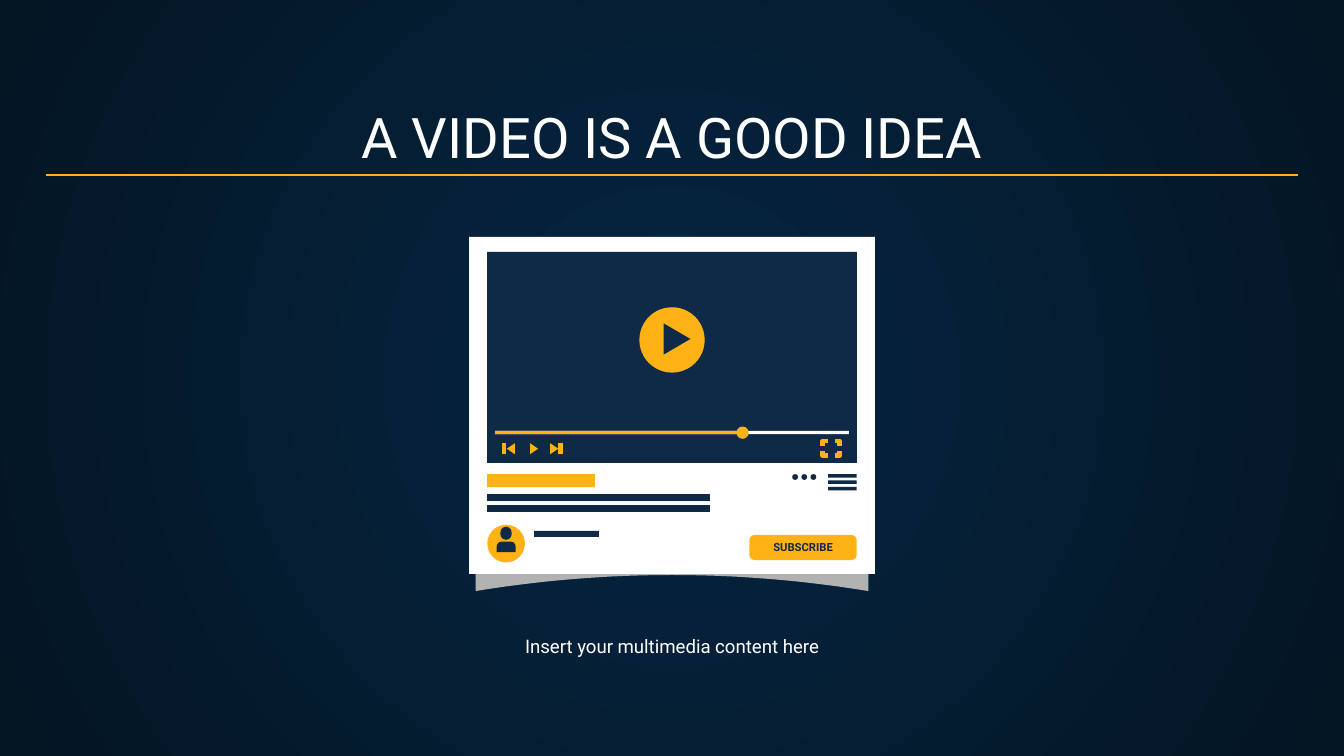
from lxml.etree import SubElement
from pptx import Presentation
from pptx.dml.color import RGBColor
from pptx.enum.shapes import MSO_CONNECTOR as Link, MSO_SHAPE as Kind
from pptx.enum.text import MSO_ANCHOR as Anchor, PP_ALIGN as Align
from pptx.oxml.ns import qn
from pptx.util import Pt

GOLD, NAVY, WHITE, GREY = "FFB215", "0E2A47", "FFFFFF", "B3B2B2"


def tint(code):
    return RGBColor.from_string(code)


class Pen:
    """Holds the font and the current slide, and draws each kind of element."""

    def __init__(self, slide, font):
        self.slide, self.font = slide, font
        self.home = slide.shapes

    def group(self):
        self.home = self.slide.shapes.add_group_shape().shapes

    def leave(self):
        self.home = self.slide.shapes

    def glow(self, inner, outer):
        fill = self.slide.background.fill
        fill.gradient()
        for stop, code in zip(fill.gradient_stops, (inner, outer)):
            stop.color.rgb = tint(code)
        grad = self.slide.element.find(".//" + qn("a:gradFill"))
        grad.remove(grad.find(qn("a:lin")))
        ring = SubElement(grad, qn("a:path"))
        ring.set("path", "circle")
        focus = SubElement(ring, qn("a:fillToRect"))
        for side in "ltrb":
            focus.set(side, "50000")

    def label(self, frame, text, size, code, anchor, inset, bold=False):
        frame.word_wrap = True
        frame.vertical_anchor = anchor
        frame.margin_left = frame.margin_right = Pt(inset)
        frame.margin_top = frame.margin_bottom = Pt(inset)
        para = frame.paragraphs[0]
        para.alignment = Align.CENTER
        run = para.add_run()
        run.text = text
        run.font.name, run.font.size, run.font.bold = self.font, Pt(size), bold
        run.font.color.rgb = tint(code)

    def text(self, box, text, size, anchor):
        frame = self.home.add_textbox(*map(Pt, box)).text_frame
        self.label(frame, text, size, WHITE, anchor, 7.2)

    def paint(self, shape, code):
        shape.shadow.inherit = False
        shape.fill.solid()
        shape.fill.fore_color.rgb = tint(code)
        shape.line.fill.background()

    def shape(self, box, code, kind=Kind.RECTANGLE, bend=None):
        shape = self.home.add_shape(kind, *map(Pt, box))
        self.paint(shape, code)
        if bend is not None:
            shape.adjustments[0] = bend
        return shape

    def disc(self, x, y, size, code):
        self.shape((x, y, size, size), code, Kind.OVAL)

    def trace(self, dots, close):
        first, *rest = [(Pt(x), Pt(y)) for x, y in dots]
        form = self.home.build_freeform(*first)
        form.add_line_segments(rest, close=close)
        return form.convert_to_shape()

    def poly(self, dots, code):
        self.paint(self.trace(dots, True), code)

    def arrow(self, x, y, wide, high, code):
        self.poly([(x, y), (x, y + high), (x + wide, y + high / 2)], code)

    def bend(self, dots, code, width):
        shape = self.trace(dots, False)
        shape.shadow.inherit = False
        shape.fill.background()
        shape.line.color.rgb, shape.line.width = tint(code), Pt(width)

    def line(self, x1, y1, x2, y2, code, width):
        line = self.home.add_connector(Link.STRAIGHT, *map(Pt, (x1, y1, x2, y2)))
        line.line.color.rgb, line.line.width = tint(code), Pt(width)
        SubElement(line.element.spPr, qn("a:effectLst"))


def arc(y):
    steps = [i / 20 for i in range(-20, 21)]
    return [(360 + 105.2 * t, y + 8.6 * t * t) for t in steps]


def player(pen):
    pen.poly(arc(152) + arc(308.1)[::-1], GREY)
    pen.shape((251.25, 127, 217.5, 180.5), WHITE)
    pen.shape((261, 135, 198, 113), NAVY)
    pen.shape((265.2, 230.9, 189.6, 1.75), WHITE)
    pen.shape((265.2, 230.9, 132.6, 1.75), GOLD)
    pen.disc(342.5, 164.6, 35, GOLD)
    pen.arrow(355.5, 173.2, 14.4, 16.8, NAVY)
    pen.disc(394.5, 228.5, 6.6, GOLD)
    for x, wide in ((284, 4.3), (294.8, 4.3), (275.8, -4.3)):
        pen.arrow(x, 237.5, wide, 5.8, GOLD)
    for x in (270, 300.4):
        pen.line(x, 237.5, x, 243.3, GOLD, 2.45)
    for x, dx in ((440.7, 2.7), (449.8, -2.7)):
        for y, dy in ((236.3, 2.7), (244.1, -2.7)):
            pen.bend([(x, y + dy), (x, y), (x + dx, y)], GOLD, 2.45)


def details(pen):
    pen.shape((261, 254, 57.7, 7), GOLD)
    for y in (264.7, 270.6):
        pen.shape((261, y, 119.4, 3.6), NAVY)
    pen.shape((286.1, 284.4, 34.8, 3.3), NAVY)
    for i in range(3):
        pen.shape((443.6, 254 + 3.4 * i, 15.4, 1.9), NAVY)
        pen.disc(424.4 + 4.9 * i, 254, 3.1, NAVY)
    pen.disc(261, 281.1, 20.2, GOLD)
    pen.shape((268.1, 282.2, 6, 7), NAVY, Kind.ROUNDED_RECTANGLE, 0.5)
    pen.shape((266.1, 290.2, 10.2, 5.6), NAVY, Kind.ROUND_2_SAME_RECTANGLE, 0.45)
    button = pen.shape((401.5, 286.6, 57.5, 13.4), GOLD, Kind.ROUNDED_RECTANGLE, 0.2)
    pen.label(button.text_frame, "SUBSCRIBE", 6, NAVY, Anchor.MIDDLE, 0, True)


def main():
    deck = Presentation()
    deck.slide_width, deck.slide_height = Pt(720), Pt(405)
    pen = Pen(deck.slides.add_slide(deck.slide_layouts[6]), "Roboto")
    pen.glow("052643", "041523")
    pen.text((24.5, 50.4, 671, 47.5), "A VIDEO IS A GOOD IDEA", 30, Anchor.BOTTOM)
    pen.text((242, 334, 236, 28), "Insert your multimedia content here", 10, Anchor.TOP)
    pen.group()
    player(pen)
    details(pen)
    pen.leave()
    pen.line(24.5, 93.75, 695.5, 93.75, GOLD, 0.75)
    deck.save("out.pptx")


if __name__ == "__main__":
    main()
